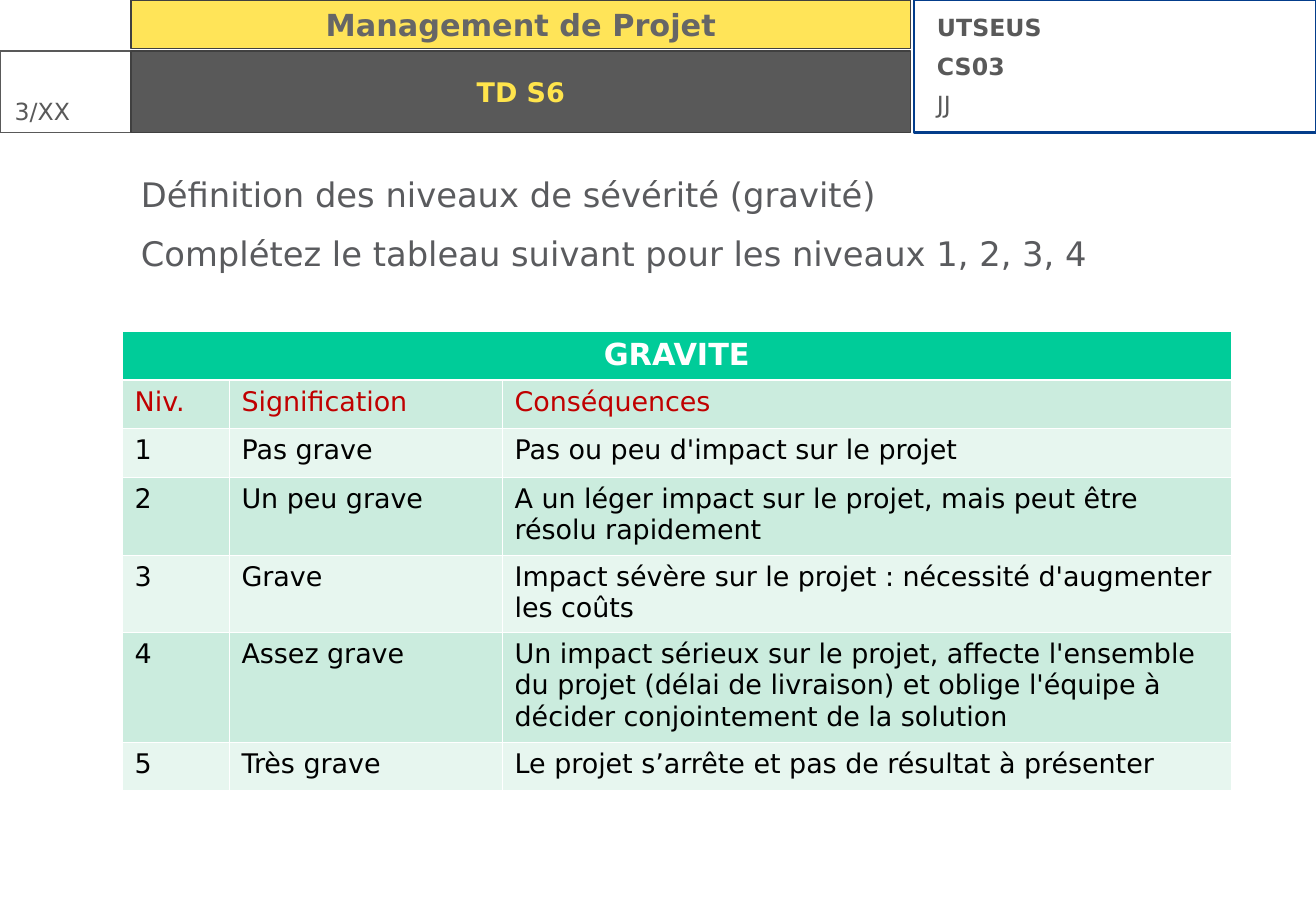
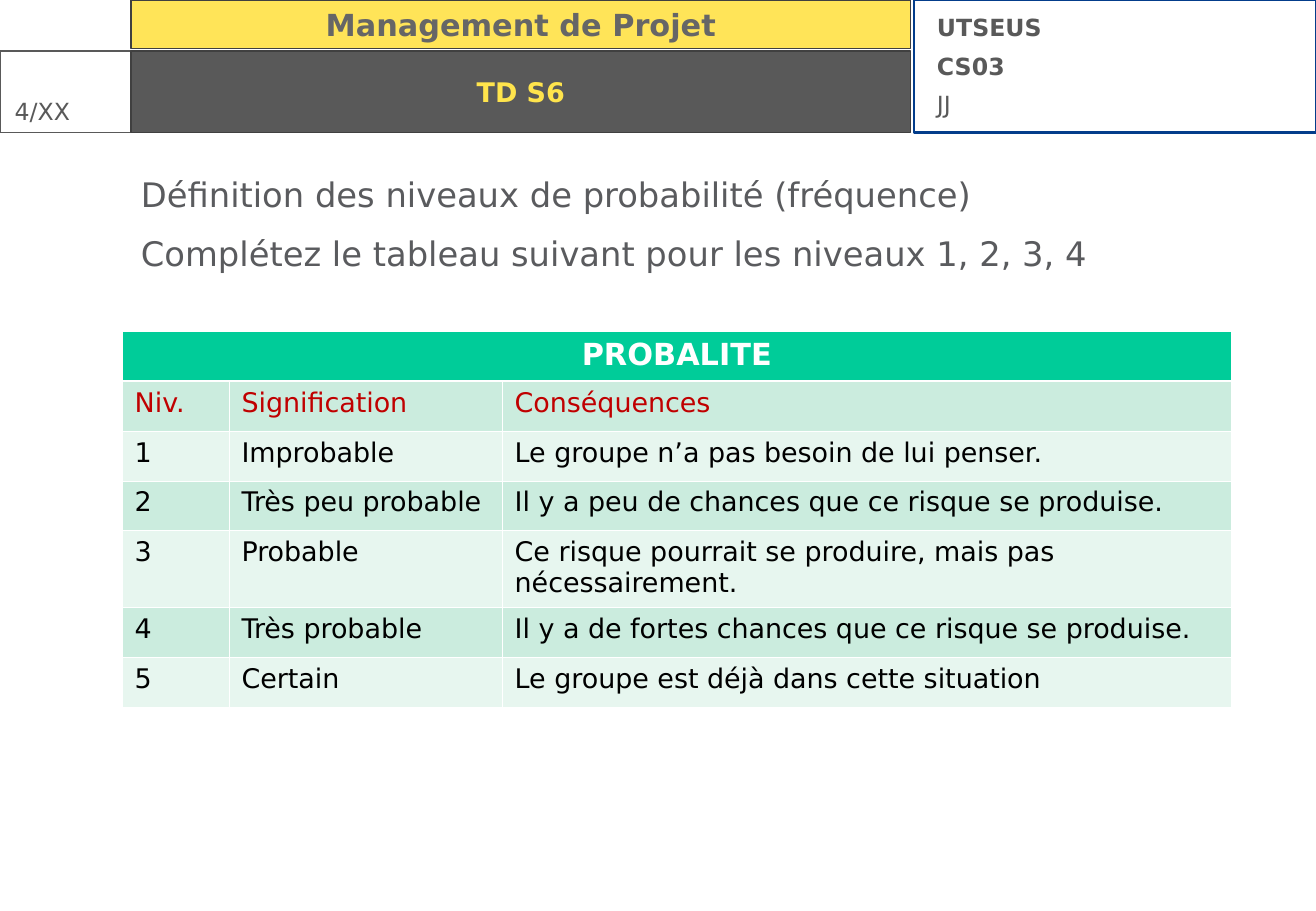
from lxml import etree
from pptx import Presentation
from pptx.dml import color as c
from pptx.enum import shapes, text
from pptx.oxml import ns
from pptx.util import Inches, Pt

FONT = "DejaVu Sans"
GREY = "595959"
DARK_LINE = "404040"
BODY_GREY = "5A5B5E"
YELLOW = "FFD912"
PALE_YELLOW = "FFE44C"
NAVY = "033D8B"
WHITE = "FFFFFF"
GREEN = "00CC99"
BANDS = ("E7F6EF", "CBECDE")
RED = "C00000"
BLACK = "000000"
CENTER = text.PP_ALIGN.CENTER
LEFT = text.PP_ALIGN.LEFT

INSTRUCTION = "Complétez le tableau suivant pour les niveaux 1, 2, 3, 4"
COLUMN_TITLES = ("Niv.", "Signification", "Conséquences")
COLUMN_WIDTHS = (0.88, 2.25, 6)

TOPICS = [
    {
        "number": 3,
        "heading": "Définition des niveaux de sévérité (gravité)",
        "table_title": "GRAVITE",
        "row_heights": (0.4, 0.4, 0.4, 0.64, 0.64, 0.9, 0.4),
        "levels": [
            ("Pas grave", "Pas ou peu d'impact sur le projet"),
            ("Un peu grave", "A un léger impact sur le projet, mais peut être résolu rapidement"),
            ("Grave", "Impact sévère sur le projet : nécessité d'augmenter les coûts"),
            ("Assez grave", "Un impact sérieux sur le projet, affecte l'ensemble du projet "
             "(délai de livraison) et oblige l'équipe à décider conjointement de la solution"),
            ("Très grave", "Le projet s’arrête et pas de résultat à présenter"),
        ],
    },
    {
        "number": 4,
        "heading": "Définition des niveaux de probabilité (fréquence)",
        "table_title": "PROBALITE",
        "row_heights": (0.41, 0.41, 0.41, 0.41, 0.63, 0.41, 0.41),
        "levels": [
            ("Improbable", "Le groupe n’a pas besoin de lui penser."),
            ("Très peu probable", "Il y a peu de chances que ce risque se produise."),
            ("Probable", "Ce risque pourrait se produire, mais pas nécessairement."),
            ("Très probable", "Il y a de fortes chances que ce risque se produise."),
            ("Certain", "Le groupe est déjà dans cette situation"),
        ],
    },
]


def paint(hex_color):
    return c.RGBColor.from_string(hex_color)


def write(frame, lines, size, ink, bold=False, align=LEFT, before=0, after=0):
    frame.word_wrap = True
    frame.text = "\n".join(lines)
    for index, para in enumerate(frame.paragraphs):
        para.alignment = align
        para.space_before = Pt(before if index else 0)
        para.space_after = Pt(after)
        for span in para.runs:
            span.font.name = FONT
            span.font.size = Pt(size)
            span.font.bold = bold
            span.font.color.rgb = paint(ink)


deck = Presentation()
deck.slide_width, deck.slide_height = Inches(10.84), Inches(7.5)

for topic in TOPICS:
    page = deck.slides.add_slide(deck.slide_layouts[6])

    frames = []
    for left, top, width, height, fill, line, weight in (
        (7.53, 0, 3.31, 1.09, None, NAVY, 1.5),
        (1.08, 0, 6.42, 0.4, YELLOW, DARK_LINE, 0.75),
        (0, 0.42, 1.08, 0.67, None, GREY, 0.75),
        (1.08, 0.42, 6.42, 0.67, GREY, DARK_LINE, 0.75),
    ):
        box = page.shapes.add_shape(
            shapes.MSO_SHAPE.RECTANGLE, Inches(left), Inches(top), Inches(width), Inches(height))
        box.shadow.inherit = False
        box.line.color.rgb = paint(line)
        box.line.width = Pt(weight)
        if fill:
            box.fill.solid()
            box.fill.fore_color.rgb = paint(fill)
        else:
            box.fill.background()
        frames.append(box)
    course_band, title_band = frames[1], frames[3]

    yellow = course_band.fill._xPr.find(".//" + ns.qn("a:srgbClr"))
    etree.SubElement(yellow, ns.qn("a:alpha"), val="70000")
    course_band.text_frame.vertical_anchor = text.MSO_ANCHOR.TOP
    write(course_band.text_frame, ["Management de Projet"], 18, "666666", True, CENTER)
    title_band.text_frame.vertical_anchor = text.MSO_ANCHOR.MIDDLE
    write(title_band.text_frame, ["TD S6"], 16, PALE_YELLOW, True, CENTER)

    number_box = page.shapes.add_textbox(Inches(0), Inches(0.75), Inches(1.08), Inches(0.6))
    number_box.text_frame.margin_left = Inches(0.12)
    number_box.text_frame.margin_right = 0
    write(number_box.text_frame, [f"{topic['number']}/XX"], 14, GREY)

    course_box = page.shapes.add_textbox(Inches(7.62), Inches(0.06), Inches(3.17), Inches(0.97))
    write(course_box.text_frame, ["UTSEUS", "CS03", "JJ"], 14, GREY, True, after=6)
    course_box.text_frame.paragraphs[-1].runs[0].font.bold = False

    body_box = page.shapes.add_textbox(Inches(1.04), Inches(1.42), Inches(8.75), Inches(5.54))
    body = body_box.text_frame
    body.margin_left = body.margin_right = Inches(0.12)
    body.margin_top, body.margin_bottom = Inches(0.01), 0
    write(body, [topic["heading"], INSTRUCTION], 20, BODY_GREY, before=5, after=6)

    heights = topic["row_heights"]
    table = page.shapes.add_table(
        len(heights), len(COLUMN_WIDTHS), Inches(1.01), Inches(2.73),
        Inches(sum(COLUMN_WIDTHS)), Inches(sum(heights))).table
    table.horz_banding = False
    for column, width in zip(table.columns, COLUMN_WIDTHS):
        column.width = Inches(width)
    for row, height in zip(table.rows, heights):
        row.height = Inches(height)
    table.cell(0, 0).merge(table.cell(0, len(COLUMN_WIDTHS) - 1))

    rows = [(topic["table_title"], "", ""), COLUMN_TITLES]
    rows += [(str(level), *words) for level, words in enumerate(topic["levels"], 1)]
    for row_index, values in enumerate(rows):
        for column_index, value in enumerate(values):
            cell = table.cell(row_index, column_index)
            properties = cell._tc.get_or_add_tcPr()
            for side in ("L", "R", "T", "B"):
                thick = (row_index, side) in ((0, "B"), (1, "T"))
                border = etree.SubElement(
                    properties, ns.qn("a:ln" + side), w=str(Pt(1.47 if thick else 0.45)))
                border_fill = etree.SubElement(border, ns.qn("a:solidFill"))
                etree.SubElement(border_fill, ns.qn("a:srgbClr"), val=WHITE)
            cell.fill.solid()
            cell.fill.fore_color.rgb = paint(BANDS[row_index % 2] if row_index else GREEN)
            if row_index == 0:
                write(cell.text_frame, [value], 18, WHITE, True, CENTER)
            else:
                write(cell.text_frame, [value], 16, RED if row_index == 1 else BLACK)

deck.save("out.pptx")
